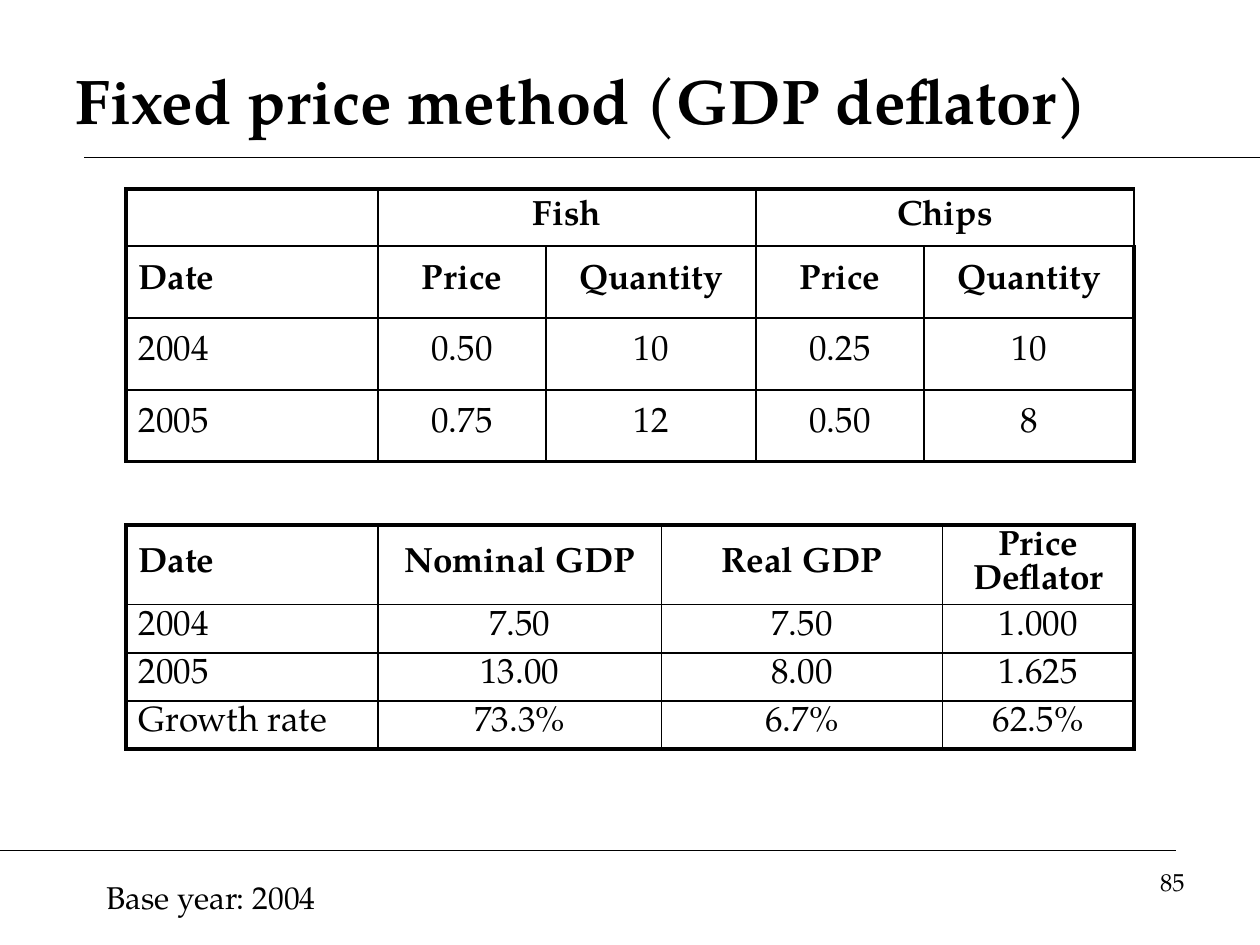
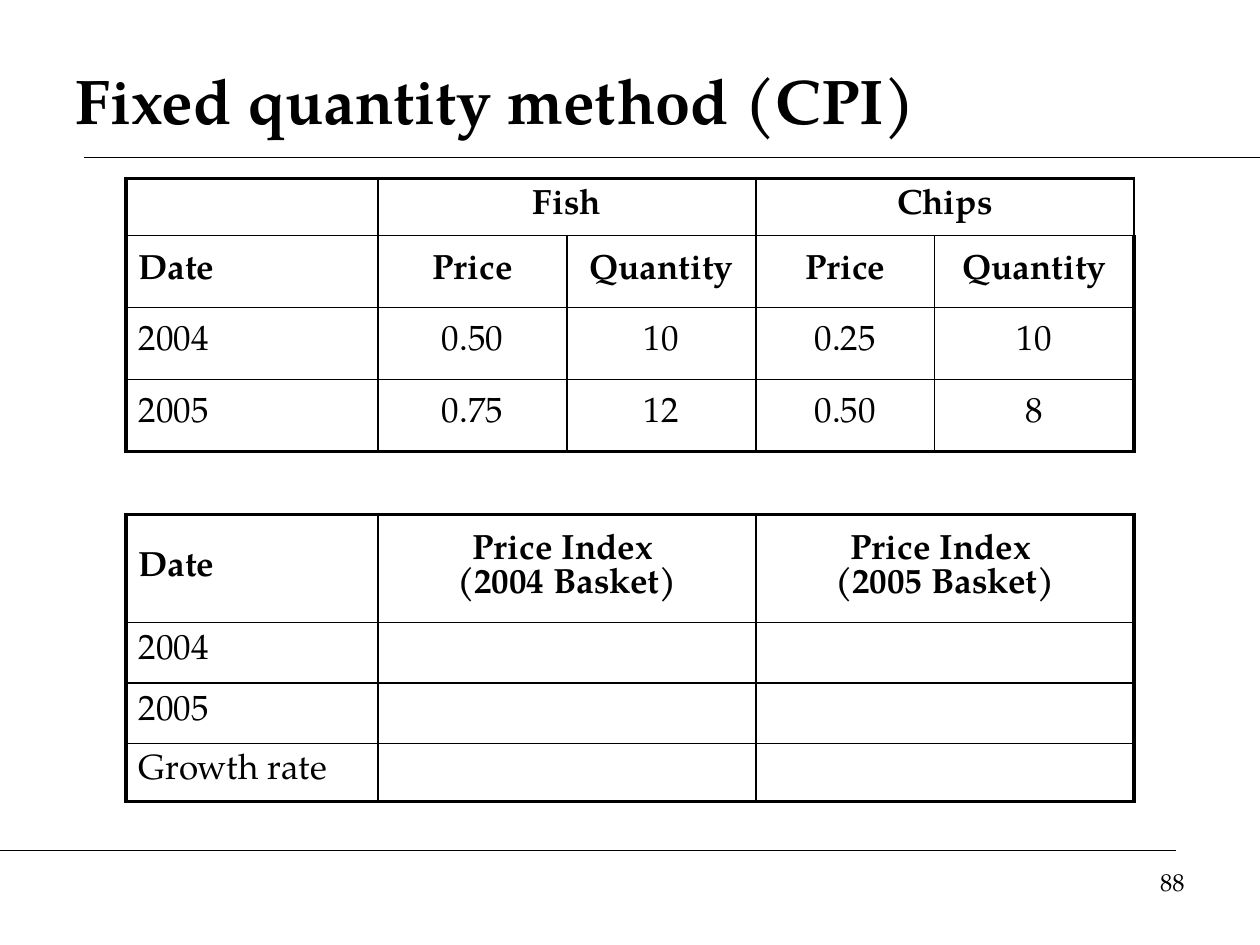
"""Build two slides of price tables comparing the GDP deflator and CPI methods."""

from dataclasses import dataclass

from lxml import etree
from pptx import Presentation
from pptx import util as u
from pptx.dml.color import RGBColor
from pptx.enum import shapes, text
from pptx.oxml import ns

COLOURS = {"ink": "000000"}
FONT = "TeX Gyre Pagella"
TABLE_LEFT, TABLE_WIDTH = 2.54, 20.32
OUTER_BORDER, INNER_BORDER = 2.25, 1
LEFT, CENTRE, RIGHT = text.PP_ALIGN.LEFT, text.PP_ALIGN.CENTER, text.PP_ALIGN.RIGHT

PRICE_ROW_HEIGHTS = (1.15, 1.45, 1.45, 1.45)
PRICE_ROWS = (
    ("", "Fish", "", "Chips", ""),
    ("Date", "Price", "Quantity", "Price", "Quantity"),
    ("2004", "0.50", "10", "0.25", "10"),
    ("2005", "0.75", "12", "0.50", "8"),
)


@dataclass(frozen=True)
class TextBox:
    wording: str
    left: float
    top: float
    width: float
    height: float
    size: int
    bold: bool = False
    align: text.PP_ALIGN = LEFT
    anchor: text.MSO_ANCHOR = text.MSO_ANCHOR.TOP


@dataclass(frozen=True)
class Rule:
    start: float
    end: float
    top: float


@dataclass(frozen=True)
class Table:
    top: float
    columns: tuple[float, ...]
    row_heights: tuple[float, ...]
    rows: tuple[tuple[str, ...], ...]
    header_rows: int = 1
    merged_pairs: tuple[int, ...] = ()


@dataclass(frozen=True)
class SlideContent:
    title: str
    number: str
    tables: tuple[Table, ...]
    note: str = ""


RULES = (Rule(1.7, 25.4, 3.18), Rule(0, 23.7, 17.15))

SLIDES = (
    SlideContent(
        "Fixed price method (GDP deflator)",
        "85",
        (
            Table(3.81, (5.08, 3.39, 4.23, 3.39, 4.23), PRICE_ROW_HEIGHTS,
                  PRICE_ROWS, 2, (1, 3)),
            Table(10.58, (5.08, 5.72, 5.66, 3.86), (1.61, 0.97, 0.97, 0.97), (
                ("Date", "Nominal GDP", "Real GDP", "Price Deflator"),
                ("2004", "7.50", "7.50", "1.000"),
                ("2005", "13.00", "8.00", "1.625"),
                ("Growth rate", "73.3%", "6.7%", "62.5%"),
            )),
        ),
        "Base year: 2004",
    ),
    SlideContent(
        "Fixed quantity method (CPI)",
        "88",
        (
            Table(3.6, (5.08, 3.81, 3.81, 3.6, 4.02), PRICE_ROW_HEIGHTS,
                  PRICE_ROWS, 2, (1, 3)),
            Table(10.37, (5.08, 7.62, 7.62), (2.18, 1.22, 1.22, 1.17), (
                ("Date", "Price Index \n(2004 Basket)", "Price Index \n(2005 Basket)"),
                ("2004", "", ""),
                ("2005", "", ""),
                ("Growth rate", "", ""),
            )),
        ),
    ),
)


def write(paragraph, wording: str, size: int, bold: bool, align: text.PP_ALIGN) -> None:
    paragraph.alignment = align
    for index, line in enumerate(wording.split("\n")):
        if index:
            paragraph.add_line_break()
        run = paragraph.add_run()
        run.text = line
        run.font.name = FONT
        run.font.size = u.Pt(size)
        run.font.bold = bold
        run.font.color.rgb = RGBColor.from_string(COLOURS["ink"])


def draw_text(slide, box: TextBox) -> None:
    shape = slide.shapes.add_textbox(
        u.Cm(box.left), u.Cm(box.top), u.Cm(box.width), u.Cm(box.height))
    frame = shape.text_frame
    frame.word_wrap = True
    frame.vertical_anchor = box.anchor
    write(frame.paragraphs[0], box.wording, box.size, box.bold, box.align)


def draw_rule(slide, rule: Rule) -> None:
    connector = slide.shapes.add_connector(
        shapes.MSO_CONNECTOR.STRAIGHT,
        u.Cm(rule.start), u.Cm(rule.top), u.Cm(rule.end), u.Cm(rule.top))
    connector.line.color.rgb = RGBColor.from_string(COLOURS["ink"])
    connector.line.width = u.Pt(0.75)
    etree.SubElement(connector.element.spPr, ns.qn("a:effectLst"))


def set_borders(cell, outer_sides: dict[str, bool]) -> None:
    properties = cell._tc.get_or_add_tcPr()
    for side, is_outer in outer_sides.items():
        width = u.Pt(OUTER_BORDER if is_outer else INNER_BORDER)
        border = etree.SubElement(properties, ns.qn(f"a:ln{side}"), w=str(width))
        fill = etree.SubElement(border, ns.qn("a:solidFill"))
        etree.SubElement(fill, ns.qn("a:srgbClr"), val=COLOURS["ink"])


def draw_table(slide, content: Table) -> None:
    row_count, column_count = len(content.rows), len(content.columns)
    table = slide.shapes.add_table(
        row_count, column_count, u.Cm(TABLE_LEFT), u.Cm(content.top),
        u.Cm(TABLE_WIDTH), u.Cm(sum(content.row_heights))).table
    table.first_row = table.horz_banding = False
    for column, width in zip(table.columns, content.columns):
        column.width = u.Cm(width)
    for row, height in zip(table.rows, content.row_heights):
        row.height = u.Cm(height)
    for first in content.merged_pairs:
        table.cell(0, first).merge(table.cell(0, first + 1))

    for row_index, row in enumerate(content.rows):
        for column_index, wording in enumerate(row):
            cell = table.cell(row_index, column_index)
            set_borders(cell, {
                "L": column_index == 0,
                "R": column_index == column_count - 1,
                "T": row_index == 0,
                "B": row_index == row_count - 1,
            })
            cell.fill.background()
            cell.vertical_anchor = text.MSO_ANCHOR.MIDDLE
            if wording:
                paragraph = cell.text_frame.paragraphs[0]
                paragraph.line_spacing = u.Pt(19.2)
                write(paragraph, wording, 20, row_index < content.header_rows,
                      CENTRE if column_index else LEFT)


def draw_slide(presentation, content: SlideContent) -> None:
    slide = presentation.slides.add_slide(presentation.slide_layouts[6])
    for rule in RULES:
        draw_rule(slide, rule)
    draw_text(slide, TextBox(content.title, 1.27, 0.84, 22.86, 2.34, 36, True,
                             anchor=text.MSO_ANCHOR.MIDDLE))
    for table in content.tables:
        draw_table(slide, table)
    if content.note:
        draw_text(slide, TextBox(content.note, 1.9, 17.58, 13.34, 1.02, 18))
    draw_text(slide, TextBox(content.number, 18.21, 17.35, 5.92, 1.32, 14, align=RIGHT))


def main() -> None:
    presentation = Presentation()
    presentation.slide_width, presentation.slide_height = u.Cm(25.4), u.Cm(19.05)
    for content in SLIDES:
        draw_slide(presentation, content)
    presentation.save("out.pptx")


if __name__ == "__main__":
    main()
